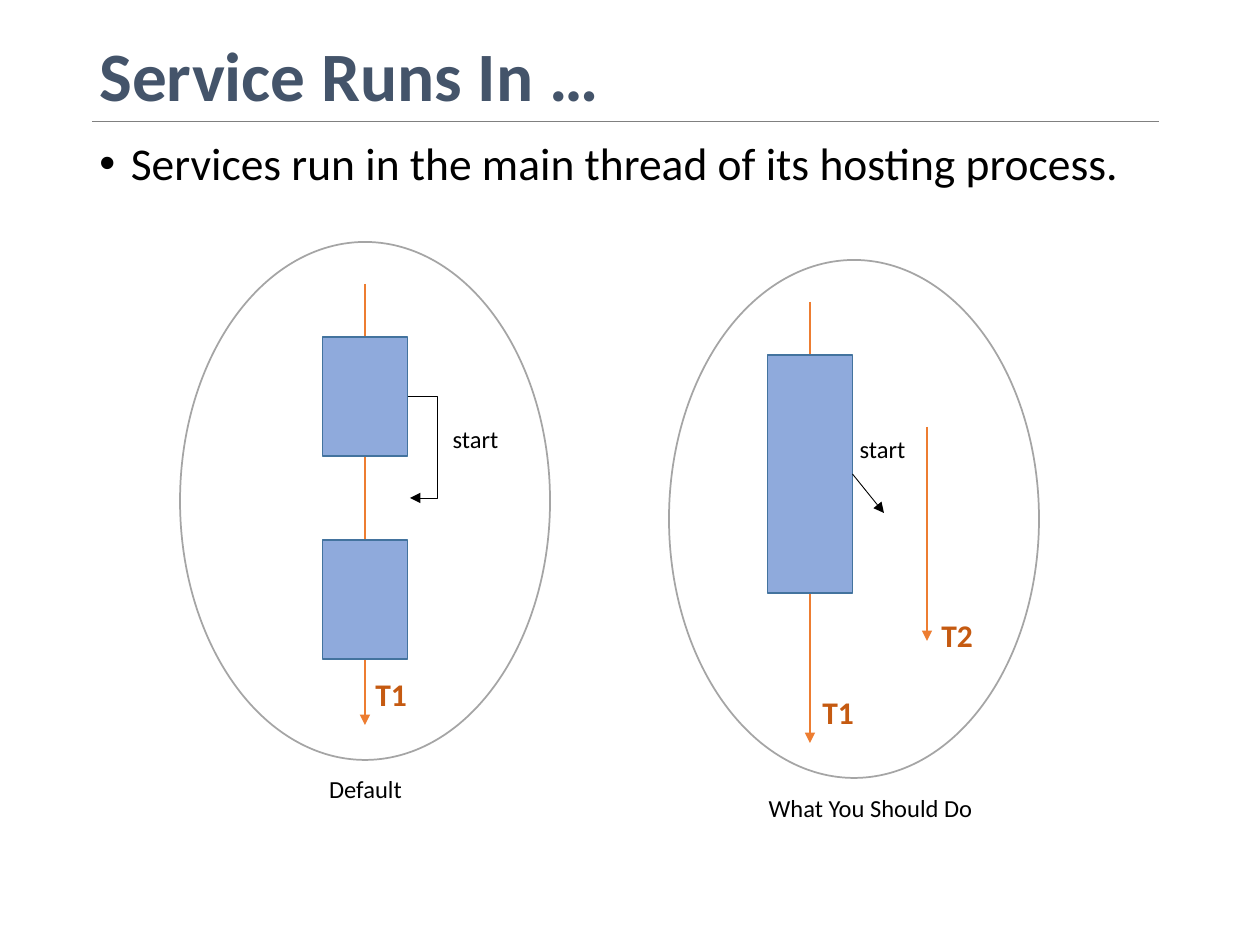
from lxml.etree import SubElement
from pptx import Presentation
from pptx.dml.color import RGBColor
from pptx.enum.shapes import MSO_CONNECTOR, MSO_SHAPE
from pptx.enum.text import MSO_ANCHOR, PP_ALIGN
from pptx.oxml.ns import qn
from pptx.util import Inches, Pt

EMU_PER_PX = Inches(1) / 126
COLORS = {
    "title": "44546A", "text": "000000", "rule": "808080",
    "process": "FFFFFF", "process_edge": "A5A5A5",
    "work": "8FAADC", "work_edge": "43739E",
    "thread": "ED7D31", "thread_name": "C55A11",
}
PROCESS_SIZE = (370, 518)
WORK_WIDTH = 85


def px(value):
    return round(value * EMU_PER_PX)


def color(name):
    return RGBColor.from_string(COLORS[name])


def add_text(slide, text, left, top, width, height, size=14, ink="text",
             bold=False, align=PP_ALIGN.LEFT, anchor=MSO_ANCHOR.TOP,
             wrap=True, spacing=None, bullet=False):
    box = slide.shapes.add_textbox(px(left), px(top), px(width), px(height))
    frame = box.text_frame
    frame.word_wrap = wrap
    frame.vertical_anchor = anchor
    paragraph = frame.paragraphs[0]
    paragraph.alignment = align
    if spacing:
        paragraph.line_spacing = spacing
    if bullet:
        props = paragraph._p.get_or_add_pPr()
        props.set("marL", str(Inches(0.25)))
        props.set("indent", str(-Inches(0.25)))
        SubElement(props, qn("a:buFont")).set("typeface", "Arial")
        SubElement(props, qn("a:buChar")).set("char", "•")
    run = paragraph.add_run()
    run.text = text
    run.font.name = "Calibri"
    run.font.size = Pt(size)
    run.font.bold = bold
    run.font.color.rgb = color(ink)


def add_outlined(slide, preset, left, top, width, height, role):
    """Add a shape in the fill and edge colours of its role."""
    shape = slide.shapes.add_shape(preset, px(left), px(top), px(width), px(height))
    shape.shadow.inherit = False
    shape.fill.solid()
    shape.fill.fore_color.rgb = color(role)
    shape.line.color.rgb = color(role + "_edge")
    shape.line.width = Pt(1)
    return shape


def add_line(slide, start, end, ink="text", weight=0.5, arrow=True,
             kind=MSO_CONNECTOR.STRAIGHT):
    line = slide.shapes.add_connector(kind, *map(px, start + end))
    line.line.color.rgb = color(ink)
    line.line.width = Pt(weight)
    if arrow:
        SubElement(line.line._get_or_add_ln(), qn("a:tailEnd")).set("type", "triangle")
    SubElement(line._element.spPr, qn("a:effectLst"))
    return line


def add_elbow(slide, start, end, reach):
    """Add an arrow that goes right by reach, down, and back to its end."""
    elbow = add_line(slide, start, end, kind=MSO_CONNECTOR.ELBOW)
    geometry = elbow._element.spPr.find(qn("a:prstGeom"))
    guides = geometry.find(qn("a:avLst"))
    if guides is None:
        guides = SubElement(geometry, qn("a:avLst"))
    bend = SubElement(guides, qn("a:gd"))
    bend.set("name", "adj1")
    bend.set("fmla", f"val {round(100000 * reach / (end[0] - start[0]))}")


def add_process(slide, left, top):
    add_outlined(slide, MSO_SHAPE.OVAL, left, top, *PROCESS_SIZE, "process")


def add_work(slide, thread_x, top, height):
    return add_outlined(slide, MSO_SHAPE.RECTANGLE, thread_x - WORK_WIDTH / 2,
                        top, WORK_WIDTH, height, "work")


def add_thread(slide, x, top, bottom):
    add_line(slide, (x, top), (x, bottom), "thread", 1.5)


def add_thread_name(slide, name, left, top):
    add_text(slide, name, left, top, 57, 50, size=18, ink="thread_name",
             bold=True, wrap=False)


def add_label(slide, text, left, top, width):
    add_text(slide, text, left, top, width, 43, align=PP_ALIGN.CENTER)


def add_default_process(slide):
    thread_x = 365
    add_process(slide, 180, 242)
    add_thread(slide, thread_x, 284, 725)
    for top in (337, 540):
        add_work(slide, thread_x, top, 119)
    add_thread_name(slide, "T1", 363, 669)
    add_elbow(slide, (408, 396), (410, 498), 30)
    add_label(slide, "start", 432, 418, 87)
    add_label(slide, "Default", 267, 768, 197)


def add_recommended_process(slide):
    main_x, worker_x = 810, 927
    add_process(slide, 669, 260)
    add_thread(slide, main_x, 302, 743)
    main_work = add_work(slide, main_x, 355, 238)
    add_thread_name(slide, "T1", 810, 687)
    add_thread(slide, worker_x, 427, 641)
    add_thread_name(slide, "T2", 929, 610)
    start_arrow = add_line(slide, (853, 474), (884, 513))
    start_arrow.begin_connect(main_work, 3)
    add_label(slide, "start", 839, 428, 87)
    add_label(slide, "What You Should Do", 755, 787, 231)


def main():
    deck = Presentation()
    deck.slide_width, deck.slide_height = Inches(10), Inches(7.5)
    slide = deck.slides.add_slide(deck.slide_layouts[6])
    add_text(slide, "Service Runs In …", 87, 50, 1086, 59, size=39.6, ink="title",
             bold=True, anchor=MSO_ANCHOR.MIDDLE, spacing=0.9)
    add_line(slide, (92, 121), (1159, 121), "rule", arrow=False)
    add_text(slide, "Services run in the main thread of its hosting process.",
             87, 135, 1072, 716, size=26, spacing=0.9, bullet=True)
    add_default_process(slide)
    add_recommended_process(slide)
    deck.save("out.pptx")


if __name__ == "__main__":
    main()
